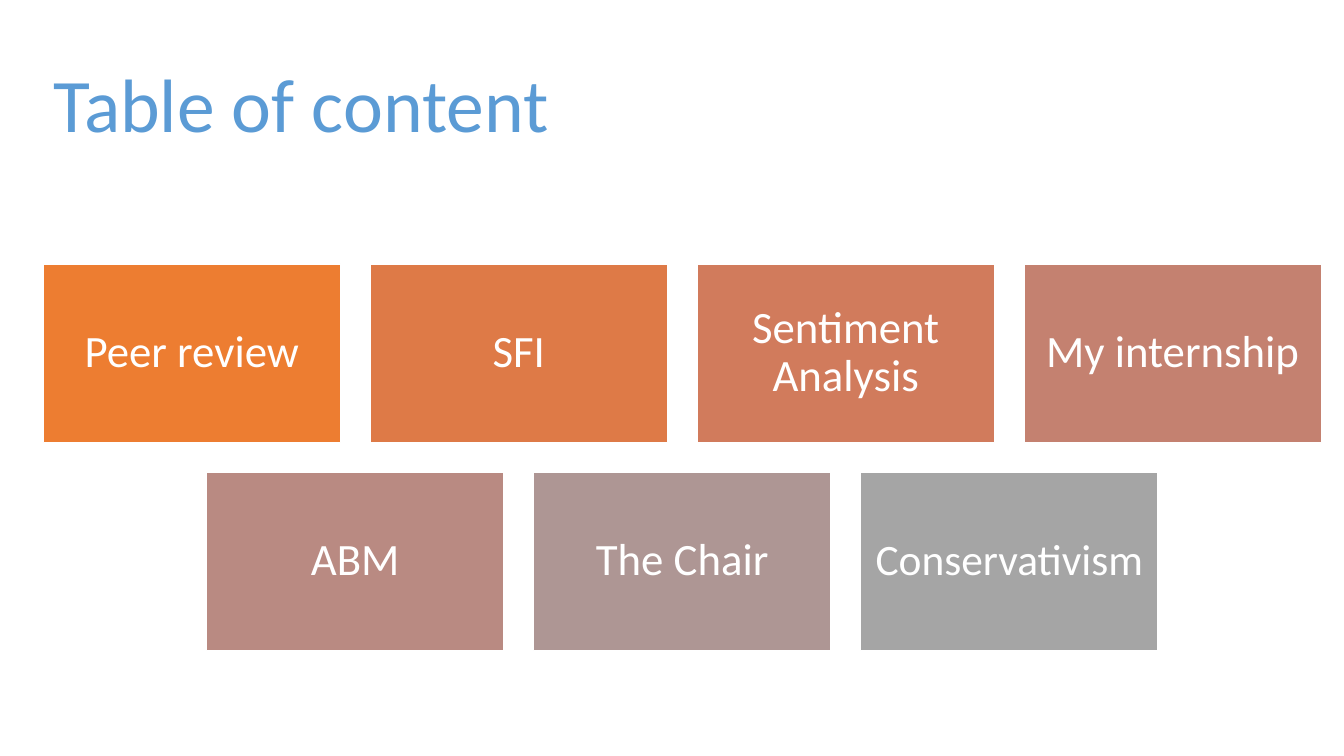
from pptx import Presentation
from pptx.dml.color import RGBColor
from pptx.enum.shapes import MSO_SHAPE
from pptx.enum.text import MSO_ANCHOR, PP_ALIGN
from pptx.util import Cm, Pt

TITLE = "Table of content"
ROWS = [
    [
        ("Peer review", "ED7D31", 32),
        ("SFI", "DE7A47", 32),
        ("Sentiment Analysis", "D17B5C", 32),
        ("My internship", "C48170", 32),
    ],
    [
        ("ABM", "B98A82", 32),
        ("The Chair", "AE9694", 32),
        ("Conservativism", "A5A5A5", 31),
    ],
]
LEFT, TOP = 1.09, 6.65
WIDE, HIGH = 7.49, 4.5
STEP, DROP = 8.24, 5.24


def color(code):
    return RGBColor.from_string(code)


def write(shape, text, size, fill="FFFFFF", align=PP_ALIGN.CENTER, side=0.33, edge=0.33):
    frame = shape.text_frame
    frame.word_wrap = True
    frame.vertical_anchor = MSO_ANCHOR.MIDDLE
    frame.margin_left = frame.margin_right = Cm(side)
    frame.margin_top = frame.margin_bottom = Cm(edge)
    para = frame.paragraphs[0]
    para.alignment = align
    para.line_spacing = 0.9
    run = para.add_run()
    run.text = text
    run.font.name = "Calibri"
    run.font.size = Pt(size)
    run.font.color.rgb = color(fill)


def add_card(slide, left, top, text, fill, size):
    card = slide.shapes.add_shape(
        MSO_SHAPE.RECTANGLE, Cm(left), Cm(top), Cm(WIDE), Cm(HIGH)
    )
    card.shadow.inherit = False
    card.fill.solid()
    card.fill.fore_color.rgb = color(fill)
    card.line.color.rgb = color("FFFFFF")
    card.line.width = Pt(1)
    write(card, text, size)


def main():
    deck = Presentation()
    deck.slide_width, deck.slide_height = Cm(33.87), Cm(19.05)
    slide = deck.slides.add_slide(deck.slide_layouts[6])
    title = slide.shapes.add_textbox(Cm(1.09), Cm(0.89), Cm(31.7), Cm(3.68))
    write(title, TITLE, 54, fill="5B9BD5", align=PP_ALIGN.LEFT, side=0.25, edge=0.13)
    most = max(len(row) for row in ROWS)
    for line, row in enumerate(ROWS):
        start = LEFT + (most - len(row)) * STEP / 2
        for col, (text, fill, size) in enumerate(row):
            add_card(slide, start + col * STEP, TOP + line * DROP, text, fill, size)
    deck.save("out.pptx")


if __name__ == "__main__":
    main()
